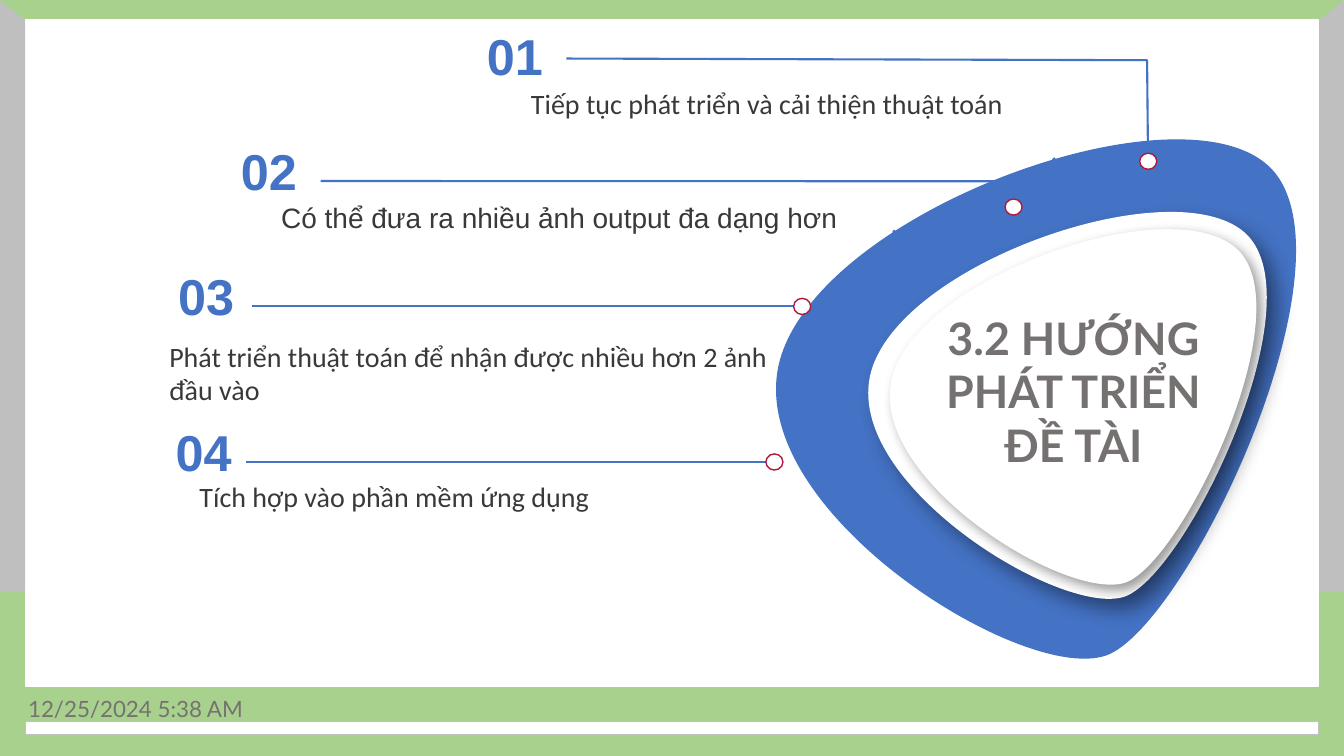
from dataclasses import dataclass
from math import cos, radians, sin

from lxml.etree import SubElement
from pptx import Presentation
from pptx.dml.color import RGBColor
from pptx.enum.shapes import MSO_CONNECTOR, MSO_SHAPE
from pptx.enum.text import MSO_ANCHOR as Anchor, MSO_AUTO_SIZE as AutoSize, PP_ALIGN as Align
from pptx.oxml.ns import qn
from pptx.util import Pt

Point = tuple[float, float]
Box = tuple[float, float, float, float]


@dataclass(frozen=True)
class Theme:
    green: str = "A9D18E"
    white: str = "FFFFFF"
    silver: str = "BFBFBF"
    blue: str = "4472C4"
    red: str = "AE1A3E"
    gray: str = "767171"
    ink: str = "3B3838"
    date_size: float = 16
    body_size: float = 20
    title_size: float = 32
    number_size: float = 36


@dataclass(frozen=True)
class Shadow:
    blur: float
    distance: float
    angle: int = 45
    opacity: int = 40


@dataclass(frozen=True)
class Blob:
    """Turned frame and its outline: a start point, then three points per curve."""
    frame: Box
    nodes: list[Point]
    fill: str
    shadow: Shadow | None = None


@dataclass(frozen=True)
class Item:
    number: str
    number_box: Box
    text: str
    text_box: Box
    leader: list[Point]
    dot: Point
    font: str = "Calibri"


THEME = Theme()
DOT_WIDTH, DOT_HEIGHT = 12.2, 11.5
BLOB_TURN = 109.6

FRAME = [
    ((-0.5, -0.5, 960, 41), THEME.green, None),
    ((0, 40, 960, 500), THEME.green, None),
    ((18, 14.4, 924, 475.6), THEME.white, THEME.white),
    ((18, 515.6, 924, 9.4), THEME.white, THEME.silver),
]
SIDES = [
    [(0, 422), (-0.5, 0), (18, 14.4), (18, 422)],
    [(942.5, 422), (942.5, 14.4), (960.5, -0.5), (960.5, 422)],
]
OUTER_BLOB = Blob(
    (542.9, 90, 385.2, 336.2),
    [(913, 127.4), (864, 52.6), (598.3, 143.3), (559.4, 251.3), (520.6, 358.6),
     (735.8, 493.2), (792.7, 466.6), (848.9, 439.9), (962.6, 203), (913, 127.4)],
    THEME.blue)
WHITE_BLOBS = [
    Blob((615.6, 138.2, 287.3, 259.9),
         [(895, 172.8), (856.1, 115.9), (652.3, 181.4), (623.5, 261.4), (594.7, 342),
          (761.8, 444.2), (805, 425.5), (848.2, 406.1), (933.8, 229), (895, 172.8)],
         THEME.white, Shadow(14, 10)),
    Blob((631.4, 151.9, 263.5, 239),
         [(888.5, 183.6), (852.5, 131), (665.3, 191.5), (638.6, 265), (612, 339.1),
          (766.1, 433.4), (805.7, 415.4), (845.3, 397.4), (923.8, 235.4), (888.5, 183.6)],
         THEME.white, Shadow(9, 5)),
]
BLOB_STROKES = [
    [(752.4, 113), (786.2, 169.2)],
    [(637.9, 164.9), (697, 207.4)],
    [(556.6, 278.6), (643.7, 278.6)],
]
ITEMS = [
    Item("01", (340.6, 14.4, 106.6, 51), "Tiếp tục phát triển và cải thiện thuật toán",
         (372.2, 58.3, 453, 31.7), [(820.1, 114.5), (819.4, 43), (404.6, 41.8)],
         (820.2, 115.2)),
    Item("02", (164.9, 96.5, 106, 51), "Có thể đưa ra nhiều ảnh output đa dạng hơn",
         (193.7, 139.7, 450, 31.7), [(723.6, 146.9), (722.9, 129.5), (229, 129.3)],
         (724, 147.9), "Arial"),
    Item("03", (120.2, 185.8, 81.4, 51),
         "Phát triển thuật toán để nhận được nhiều hơn 2 ảnh đầu vào",
         (113.8, 238.8, 447, 55.4), [(566.6, 218.9), (180, 218.9)], (573, 218.9)),
    Item("04", (118.3, 297.4, 77.8, 51), "Tích hợp vào phần mềm ứng dụng",
         (135.4, 339.1, 456, 31.7), [(547.2, 330.2), (175.7, 330.2)], (553.2, 330)),
]


def lengths(values) -> list[int]:
    return [Pt(value) for value in values]


def paint(shape, fill: str | None, line: str | None, width: float = 1) -> None:
    shape.shadow.inherit = False
    if fill:
        shape.fill.solid()
        shape.fill.fore_color.rgb = RGBColor.from_string(fill)
    else:
        shape.fill.background()
    if line:
        shape.line.color.rgb = RGBColor.from_string(line)
        shape.line.width = Pt(width)
    else:
        shape.line.fill.background()


def add_preset(shapes, preset, box: Box, fill: str, line: str | None) -> None:
    paint(shapes.add_shape(preset, *lengths(box)), fill, line)


def add_outline(shapes, points: list[Point], close: bool):
    start, *rest = [tuple(lengths(point)) for point in points]
    builder = shapes.build_freeform(*start, scale=1.0)
    builder.add_line_segments(rest, close=close)
    return builder.convert_to_shape()


def add_stroke(shapes, points: list[Point], width: float) -> None:
    if len(points) > 2:
        paint(add_outline(shapes, points, close=False), None, THEME.blue, width)
        return
    start, end = points
    connector = shapes.add_connector(MSO_CONNECTOR.STRAIGHT, *lengths(start + end))
    connector.line.color.rgb = RGBColor.from_string(THEME.blue)
    connector.line.width = Pt(width)
    SubElement(connector._element.spPr, qn("a:effectLst"))


def turned_back(node: Point, frame: Box) -> Point:
    """Place of a node inside its frame before the frame is turned."""
    left, top, width, height = frame
    x, y = node[0] - left - width / 2, node[1] - top - height / 2
    angle = radians(BLOB_TURN)
    return (x * cos(angle) + y * sin(angle) + width / 2,
            y * cos(angle) - x * sin(angle) + height / 2)


def add_blob(shapes, blob: Blob) -> None:
    left, top, width, height = blob.frame
    shape = add_outline(shapes, [(left, top), (left + width, top + height)], close=True)
    # Curves take the place of the frame's diagonal
    outline = next(shape._element.spPr.iter(qn("a:path")))
    for child in list(outline):
        outline.remove(child)
    nodes = [turned_back(node, blob.frame) for node in blob.nodes]
    steps = [("a:moveTo", nodes[:1])]
    steps += [("a:cubicBezTo", nodes[i:i + 3]) for i in range(1, len(nodes), 3)]
    for tag, points in steps:
        step = SubElement(outline, qn(tag))
        for x, y in points:
            SubElement(step, qn("a:pt"), x=str(int(Pt(x))), y=str(int(Pt(y))))
    SubElement(outline, qn("a:close"))
    shape.rotation = BLOB_TURN
    paint(shape, blob.fill, None if blob.shadow else blob.fill)
    if blob.shadow:
        effects = shape._element.spPr.find(qn("a:effectLst"))
        outer = SubElement(effects, qn("a:outerShdw"), blurRad=str(Pt(blob.shadow.blur)),
                           dist=str(Pt(blob.shadow.distance)),
                           dir=str(blob.shadow.angle * 60000), algn="tl", rotWithShape="0")
        color = SubElement(outer, qn("a:srgbClr"), val="000000")
        SubElement(color, qn("a:alpha"), val=str(blob.shadow.opacity * 1000))


def write(shape, text: str, font: str, size: float, color: str, bold: bool = False,
          align=Align.LEFT, anchor=Anchor.TOP) -> None:
    frame = shape.text_frame
    frame.word_wrap = True
    frame.auto_size = AutoSize.NONE
    frame.vertical_anchor = anchor
    paragraph = frame.paragraphs[0]
    paragraph.alignment = align
    run = paragraph.add_run()
    run.text = text
    run.font.name, run.font.size, run.font.bold = font, Pt(size), bold
    run.font.color.rgb = RGBColor.from_string(color)


def add_item(shapes, item: Item) -> None:
    write(shapes.add_textbox(*lengths(item.text_box)), item.text, item.font,
          THEME.body_size, THEME.ink)
    write(shapes.add_textbox(*lengths(item.number_box)), item.number, "Arial",
          THEME.number_size, THEME.blue, bold=True)
    add_stroke(shapes, item.leader, 1.5)
    x, y = item.dot
    dot_box = (x - DOT_WIDTH / 2, y - DOT_HEIGHT / 2, DOT_WIDTH, DOT_HEIGHT)
    add_preset(shapes, MSO_SHAPE.OVAL, dot_box, THEME.white, THEME.red)


def main() -> None:
    presentation = Presentation()
    presentation.slide_width, presentation.slide_height = Pt(960), Pt(540)
    slide = presentation.slides.add_slide(presentation.slide_layouts[5])
    shapes = slide.shapes
    # Frame and date
    for box, fill, line in FRAME:
        add_preset(shapes, MSO_SHAPE.RECTANGLE, box, fill, line)
    for side in SIDES:
        paint(add_outline(shapes, side, close=True), THEME.silver, None)
    write(shapes.add_textbox(*lengths((13, 491.8, 216, 28.8))), "12/25/2024 5:38 AM",
          "Lato", THEME.date_size, THEME.gray, anchor=Anchor.MIDDLE)
    # Rounded triangle
    add_blob(shapes, OUTER_BLOB)
    for stroke in BLOB_STROKES:
        add_stroke(shapes, stroke, 2.25)
    for blob in WHITE_BLOBS:
        add_blob(shapes, blob)
    # Numbered directions
    for item in ITEMS:
        add_item(shapes, item)
    # Title, in front of the triangle
    title = shapes.title
    title.left, title.top, title.width, title.height = lengths((648, 218, 237.6, 123.8))
    write(title, "3.2 HƯỚNG PHÁT TRIỂN ĐỀ TÀI", "Lato", THEME.title_size, THEME.gray,
          bold=True, align=Align.CENTER)
    shapes._spTree.append(title._element)
    presentation.save("out.pptx")


if __name__ == "__main__":
    main()
